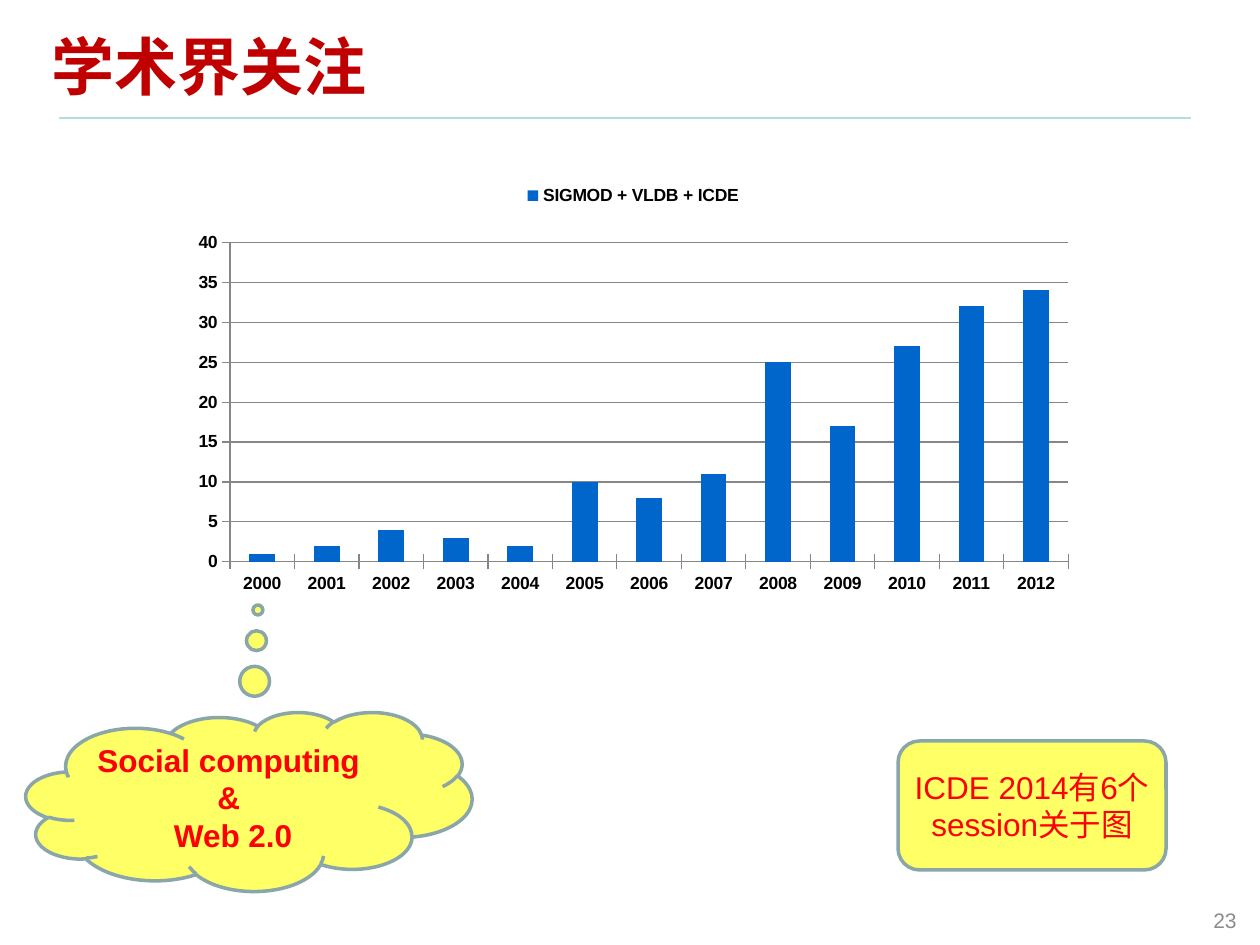
from lxml.etree import SubElement
from pptx import Presentation
from pptx.chart.data import CategoryChartData
from pptx.dml.color import RGBColor
from pptx.enum.chart import XL_CHART_TYPE, XL_LEGEND_POSITION, XL_TICK_MARK
from pptx.enum.shapes import MSO_CONNECTOR, MSO_SHAPE
from pptx.enum.text import MSO_ANCHOR, PP_ALIGN
from pptx.oxml.ns import qn
from pptx.util import Emu, Pt

EMU_PER_PX = 914400 / 126
BLACK = RGBColor(0x00, 0x00, 0x00)
GRAY = RGBColor(0x8C, 0x8C, 0x8C)
GRID = RGBColor(0x86, 0x86, 0x86)
RULE = RGBColor(0xB6, 0xDC, 0xDF)
TITLE_RED = RGBColor(0xC0, 0x00, 0x00)
RED = RGBColor(0xFF, 0x00, 0x00)
YELLOW = RGBColor(0xFF, 0xFF, 0x66)
OUTLINE = RGBColor(0x8A, 0xA6, 0xA8)
BAR_BLUE = RGBColor(0x00, 0x66, 0xCC)


def px(*lengths):
    return [Emu(round(length * EMU_PER_PX)) for length in lengths]


def place_in_chart(element, index, **settings):
    for old in element.findall(qn("c:layout")):
        element.remove(old)
    layout = element.makeelement(qn("c:layout"), {})
    element.insert(index, layout)
    manual = SubElement(layout, qn("c:manualLayout"))
    for name, value in settings.items():
        SubElement(manual, qn(f"c:{name}")).set("val", str(value))


class SlideBuilder:
    """Draws styled elements on the current slide."""

    def __init__(self, deck):
        self.page = deck.slides.add_slide(deck.slide_layouts[5])

    def style(self, font, size, color, bold=False, name="Arial"):
        font.name, font.size, font.bold = name, Pt(size), bold
        font.color.rgb = color

    def fill_text(self, frame, lines, align, size, color, bold=False, name="Arial"):
        frame.word_wrap = True
        frame.vertical_anchor = MSO_ANCHOR.MIDDLE
        frame.text = "\n".join(lines)
        for para in frame.paragraphs:
            para.alignment = align
            self.style(para.font, size, color, bold, name)

    def title(self, text, *bounds):
        box = self.page.shapes.title
        box.left, box.top, box.width, box.height = px(*bounds)
        self.fill_text(box.text_frame, [text], PP_ALIGN.LEFT, 36, TITLE_RED, True, "Courier New")

    def rule(self, left, right, y):
        line = self.page.shapes.add_connector(MSO_CONNECTOR.STRAIGHT, *px(left, y, right, y))
        line.line.color.rgb = RULE
        line.line.width = Pt(0.75)
        SubElement(line._element.spPr, qn("a:effectLst"))

    def page_number(self, text, *bounds):
        box = self.page.shapes.add_textbox(*px(*bounds))
        self.fill_text(box.text_frame, [text], PP_ALIGN.RIGHT, 12, GRAY)

    def callout(self, kind, lines, *bounds, bold=False, tail=()):
        shape = self.page.shapes.add_shape(kind, *px(*bounds))
        for index, value in enumerate(tail):
            shape.adjustments[index] = value
        shape.shadow.inherit = False
        shape.fill.solid()
        shape.fill.fore_color.rgb = YELLOW
        shape.line.color.rgb = OUTLINE
        shape.line.width = Pt(2)
        frame = shape.text_frame
        frame.margin_left = frame.margin_right = frame.margin_top = frame.margin_bottom = 0
        self.fill_text(frame, lines, PP_ALIGN.CENTER, 18, RED, bold)

    def column_chart(self, name, categories, values, *bounds):
        data = CategoryChartData()
        data.categories = categories
        data.add_series(name, values)
        chart = self.page.shapes.add_chart(
            XL_CHART_TYPE.COLUMN_CLUSTERED, *px(*bounds), data).chart
        self.style(chart.font, 10, BLACK, True)
        chart.has_title = False
        chart.has_legend = True
        chart.legend.position = XL_LEGEND_POSITION.RIGHT
        chart.legend.include_in_layout = False
        self.style(chart.legend.font, 10, BLACK, True)
        plot = chart.plots[0]
        plot.gap_width = 150
        plot.vary_by_categories = False
        fill = plot.series[0].format.fill
        fill.solid()
        fill.fore_color.rgb = BAR_BLUE
        for axis in (chart.category_axis, chart.value_axis):
            axis.major_tick_mark = XL_TICK_MARK.CROSS
            axis.format.line.color.rgb = GRID
            self.style(axis.tick_labels.font, 10, BLACK, True)
        value_axis = chart.value_axis
        value_axis.minimum_scale, value_axis.maximum_scale, value_axis.major_unit = 0, 40, 5
        value_axis.has_major_gridlines = True
        value_axis.major_gridlines.format.line.color.rgb = GRID
        area = chart._chartSpace.chart.plotArea
        place_in_chart(area, 0, layoutTarget="inner", xMode="edge", yMode="edge",
                       x=0.07, y=0.17, w=0.89, h=0.62)
        place_in_chart(chart.legend._element, 1, xMode="edge", yMode="edge", x=0.38, y=0.05)


def main():
    deck = Presentation()
    deck.slide_width, deck.slide_height = px(1260, 945)
    slide = SlideBuilder(deck)
    slide.rule(59, 1191, 118)
    slide.title("学术界关注", 39, 10, 1152, 110)
    slide.page_number("23", 955, 895, 294, 50)
    slide.column_chart(
        "SIGMOD + VLDB + ICDE", [str(year) for year in range(2000, 2013)],
        [1, 2, 4, 3, 2, 10, 8, 11, 25, 17, 27, 32, 34], 164, 155, 942, 515)
    slide.callout(
        MSO_SHAPE.CLOUD_CALLOUT, ["Social computing ", "& ", "Web 2.0"],
        26, 712, 446, 179, bold=True, tail=(0.02, -1.07))
    slide.callout(
        MSO_SHAPE.FLOWCHART_ALTERNATE_PROCESS, ["ICDE 2014有6个session关于图"],
        898, 741, 268, 129)
    deck.save("out.pptx")


if __name__ == "__main__":
    main()
